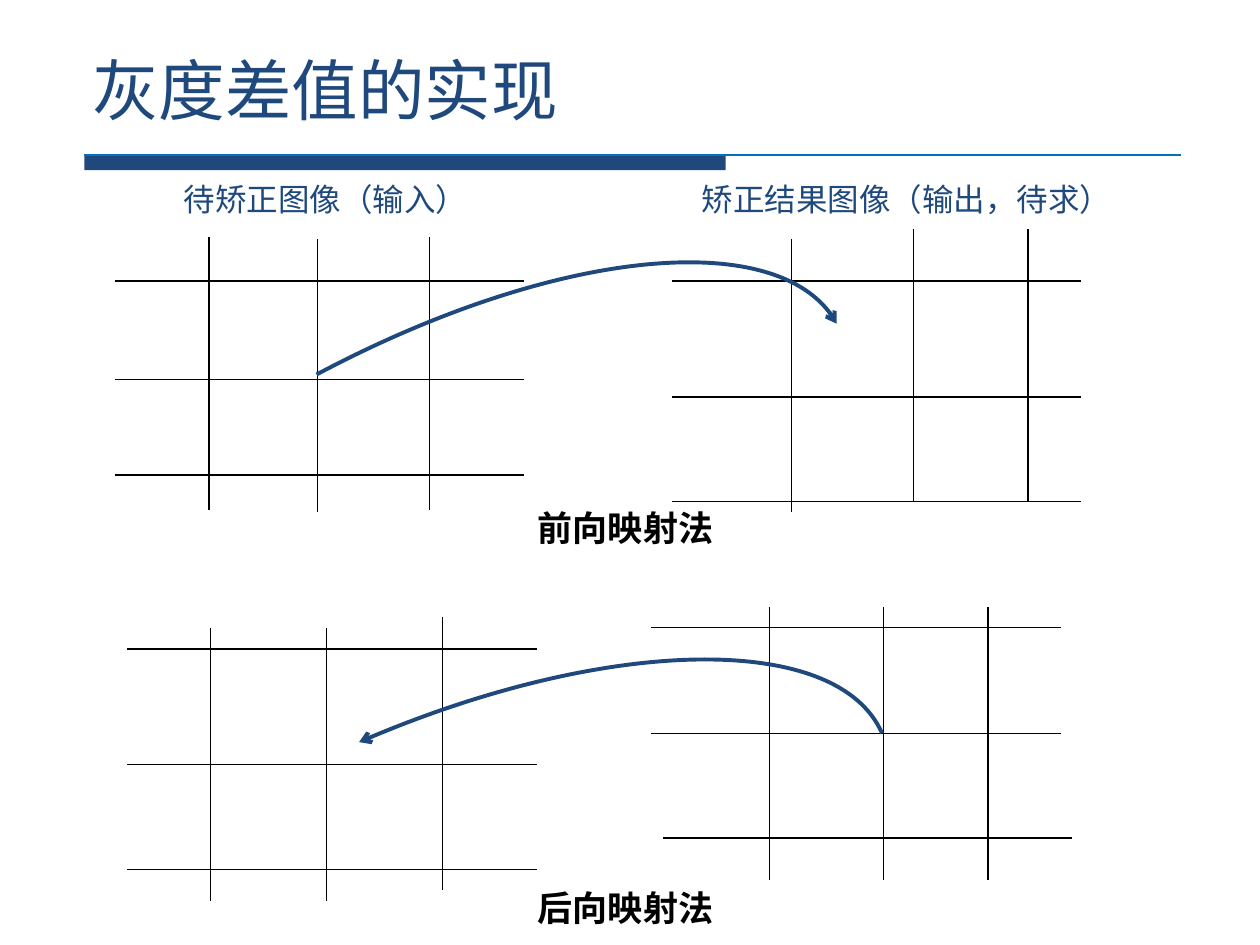
from dataclasses import dataclass

from lxml.etree import SubElement
from pptx import Presentation
from pptx.dml.color import RGBColor
from pptx.enum.shapes import MSO_CONNECTOR, MSO_SHAPE
from pptx.enum.text import MSO_ANCHOR, MSO_AUTO_SIZE, PP_ALIGN
from pptx.oxml.ns import qn
from pptx.util import Pt


@dataclass(frozen=True)
class Theme:
    font: str = "Times New Roman"
    navy: RGBColor = RGBColor(0x1F, 0x49, 0x7D)
    blue: RGBColor = RGBColor(0x00, 0x70, 0xC0)
    black: RGBColor = RGBColor(0, 0, 0)
    title: int = 38
    caption: int = 20
    label: int = 18
    thin: float = 0.75
    thick: float = 2.25


THEME = Theme()
COLUMN_HEIGHT = 156
ROW_WIDTH = 234


def add_run(p, text, size, color, bold=False):
    r = p.add_run()
    r.text = text
    r.font.name = THEME.font
    r.font.size = Pt(size)
    r.font.bold = bold
    r.font.color.rgb = color


def add_title(s, text):
    sp = s.shapes.title
    sp.left, sp.top, sp.width, sp.height = Pt(45.4), Pt(23.8), Pt(630), Pt(53.3)
    tf = sp.text_frame
    tf.auto_size = MSO_AUTO_SIZE.NONE
    tf.vertical_anchor = MSO_ANCHOR.BOTTOM
    p = tf.paragraphs[0]
    p.alignment = PP_ALIGN.LEFT
    add_run(p, text, THEME.title, THEME.navy)


def add_text(s, x, y, w, h, text, size, color, bold=False, centered=False):
    tf = s.shapes.add_textbox(Pt(x), Pt(y), Pt(w), Pt(h)).text_frame
    tf.word_wrap = centered
    p = tf.paragraphs[0]
    p.alignment = PP_ALIGN.CENTER if centered else PP_ALIGN.LEFT
    add_run(p, text, size, color, bold)


def add_line(s, x1, y1, x2, y2, color=THEME.black):
    cn = s.shapes.add_connector(MSO_CONNECTOR.STRAIGHT, Pt(x1), Pt(y1), Pt(x2), Pt(y2))
    cn.line.color.rgb = color
    cn.line.width = Pt(THEME.thin)
    SubElement(cn.element.spPr, qn("a:effectLst"))


def add_rule(s, x, y, width, bar_width, bar_height):
    bar = s.shapes.add_shape(MSO_SHAPE.RECTANGLE, Pt(x), Pt(y), Pt(bar_width), Pt(bar_height))
    bar.shadow.inherit = False
    bar.fill.solid()
    bar.fill.fore_color.rgb = THEME.navy
    bar.line.fill.background()
    add_line(s, x, y, x + width, y, THEME.blue)


def add_grid(s, columns, rows):
    """Columns are (x, top) pairs, rows are (left, y) pairs."""
    for x, top in columns:
        add_line(s, x, top, x, top + COLUMN_HEIGHT)
    for left, y in rows:
        add_line(s, left, y, left + ROW_WIDTH, y)


def add_curved_arrow(s, points):
    """Cubic curve from the first point to the last, with an arrowhead there."""
    start, *rest = [(Pt(x), Pt(y)) for x, y in points]
    builder = s.shapes.build_freeform(*start)
    builder.add_line_segments(rest, close=False)
    sp = builder.convert_to_shape()
    sp.shadow.inherit = False
    sp.fill.background()
    sp.line.color.rgb = THEME.navy
    sp.line.width = Pt(THEME.thick)

    # Turn the three straight segments into one Bezier segment
    outline = next(sp.element.iter(qn("a:path")))
    segments = outline.findall(qn("a:lnTo"))
    curve = SubElement(outline, qn("a:cubicBezTo"))
    for segment in segments:
        curve.append(segment[0])
        outline.remove(segment)
    SubElement(sp.line._get_or_add_ln(), qn("a:tailEnd"), type="arrow")


def main():
    prs = Presentation()
    prs.slide_width, prs.slide_height = Pt(720), Pt(540)
    s = prs.slides.add_slide(prs.slide_layouts[5])

    # Heading
    add_rule(s, 48.2, 88.6, 626.4, 366.5, 8.6)
    add_title(s, "灰度差值的实现")

    # Forward mapping: input grid, output grid
    add_grid(s, [(119.5, 135.4), (181.4, 136.8), (245.5, 135.4)],
             [(65.5, y) for y in (160.6, 216.7, 271.4)])
    add_grid(s, [(452.2, 136.8), (522, 131), (587.5, 131)],
             [(383.8, y) for y in (160.6, 226.8, 286.6)])
    add_curved_arrow(s, [(180.9, 214), (315.4, 142.6), (448.6, 129.6), (478.1, 185)])

    # Backward mapping: input grid, output grid
    add_grid(s, [(120.2, 358.6), (186.5, 358.6), (252.7, 352.8)],
             [(72.7, y) for y in (370.8, 437, 496.8)])
    add_grid(s, [(x, 347) for x in (439.9, 504.7, 564.5)],
             [(372.2, 358.6), (372.2, 419), (378.7, 478.8)])
    add_curved_arrow(s, [(504, 419), (478.8, 361.4), (344.9, 363.6), (205.2, 424.1)])

    # Captions and column labels
    for y, text in ((285.8, "前向映射法"), (503.3, "后向映射法")):
        add_text(s, 292.3, y, 130.3, 31.7, text, THEME.caption, THEME.black,
                 bold=True, centered=True)
    for x, w, text in ((97.9, 177.8, "待矫正图像（输入）"),
                       (393.8, 255.6, "矫正结果图像（输出，待求）")):
        add_text(s, x, 99.4, w, 28.8, text, THEME.label, THEME.navy)

    prs.save("out.pptx")


if __name__ == "__main__":
    main()
